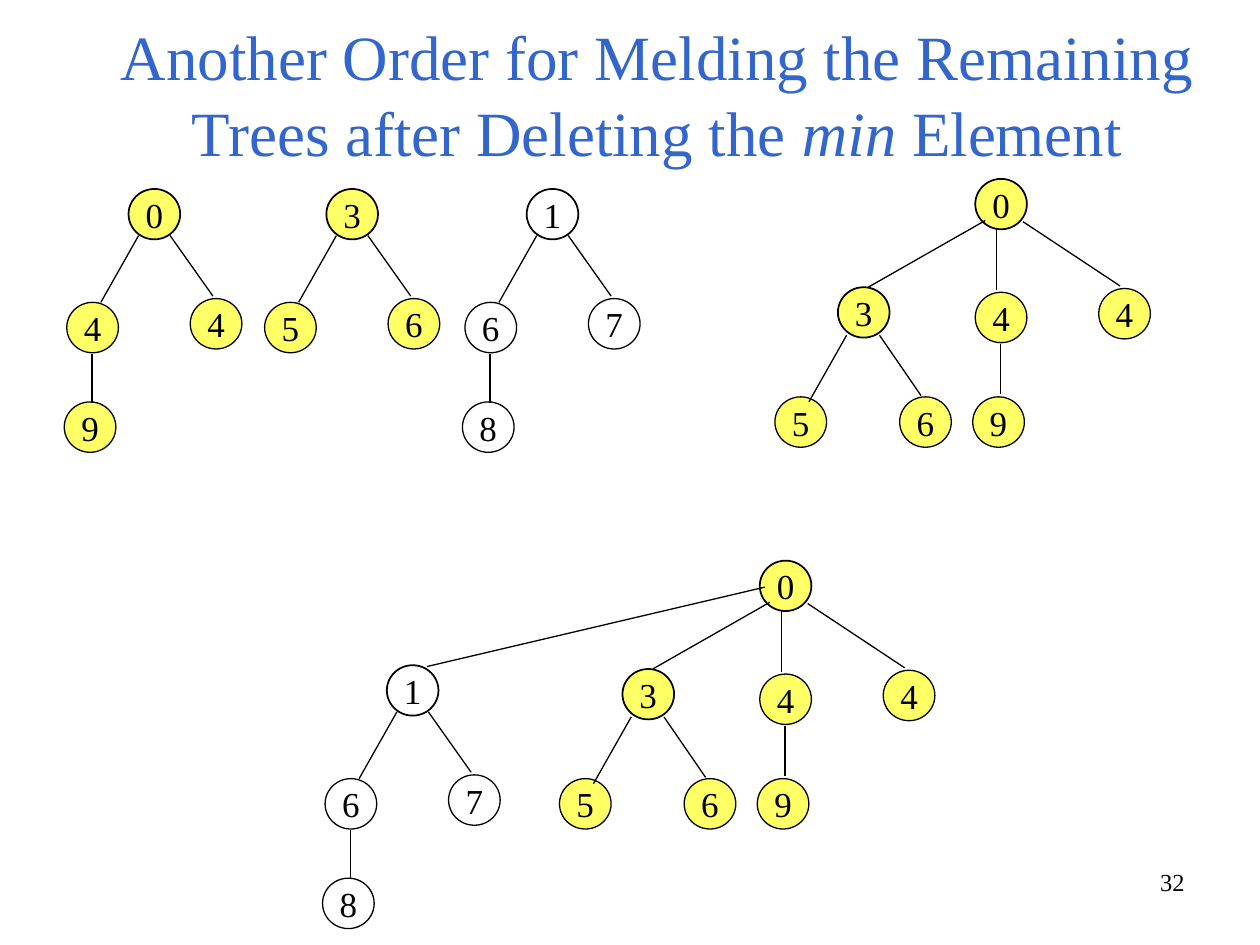
from dataclasses import dataclass

from lxml.etree import SubElement
from pptx import Presentation
from pptx.dml.color import RGBColor
from pptx.enum.shapes import MSO_CONNECTOR, MSO_SHAPE
from pptx.enum.text import MSO_ANCHOR, PP_ALIGN
from pptx.oxml.ns import qn
from pptx.util import Emu, Inches, Pt

COLORS = {"title": "3366CC", "ink": "000000", "melded": "FFFF66", "waiting": "FFFFFF"}
FONT = "Times New Roman"
CELL = Inches(0.1)
NODE_WIDTH, NODE_HEIGHT = 4.1, 4


@dataclass(frozen=True)
class Node:
    column: float
    row: float
    is_root: bool = False


@dataclass(frozen=True)
class Edge:
    start_column: float
    start_row: float
    end_column: float
    end_row: float


@dataclass(frozen=True)
class Pattern:
    nodes: tuple[Node, ...]
    edges: tuple[Edge, ...]


@dataclass(frozen=True)
class Tree:
    pattern: Pattern
    labels: str
    column: float
    row: float
    fill: str


FORK = Pattern(
    (Node(0, 0, True), Node(-4.9, 9), Node(4.9, 8.7)),
    (Edge(0.8, 3.7, -2.2, 9), Edge(3.3, 3.7, 6.7, 8.5)),
)
FORK_WITH_TAIL = Pattern(
    FORK.nodes + (Node(-5.1, 16.9),),
    FORK.edges + (Edge(-2.9, 13.1, -2.9, 17),),
)
MELDED = Pattern(
    (
        Node(-10.9, 8.6, True), Node(-15.9, 17.3), Node(-6, 17.3),
        Node(0, 0, True), Node(0, 9), Node(-0.2, 17.3), Node(9.8, 8.7),
    ),
    (
        Edge(-10.2, 12.4, -13.2, 17.7), Edge(-7.6, 12.4, -4.3, 17.2),
        Edge(2, 13.1, 2, 17.1), Edge(0.8, 3.3, -8.5, 8.6),
        Edge(3.8, 3.4, 11.5, 8.5), Edge(1.7, 3.9, 1.7, 8.8),
    ),
)
TREES = (
    Tree(FORK_WITH_TAIL, "0449", 10.2, 15, "melded"),
    Tree(FORK, "356", 25.9, 15, "melded"),
    Tree(FORK_WITH_TAIL, "1678", 41.8, 15, "waiting"),
    Tree(MELDED, "3560494", 77.4, 14.2, "melded"),
    Tree(FORK_WITH_TAIL, "1678", 30.7, 52.8, "waiting"),
    Tree(MELDED, "3560494", 60.3, 44.5, "melded"),
)
FINAL_MELD = Edge(33.9, 52.9, 60.7, 46.6)


def grid(cells: float) -> Emu:
    return Emu(round(cells * CELL))


def color(name: str) -> RGBColor:
    return RGBColor.from_string(COLORS[name])


def format_runs(paragraph, size: float, color_name: str, alignment) -> None:
    paragraph.alignment = alignment
    for run in paragraph.runs:
        run.font.name = FONT
        run.font.size = Pt(size)
        run.font.color.rgb = color(color_name)


def add_text_box(slide, column: float, row: float, width: float, height: float):
    shape = slide.shapes.add_textbox(grid(column), grid(row), grid(width), grid(height))
    shape.text_frame.word_wrap = True
    return shape.text_frame


def add_title(slide) -> None:
    text_frame = add_text_box(slide, 4.3, 3.5, 95.7, 10.4)
    text_frame.vertical_anchor = MSO_ANCHOR.BOTTOM
    paragraph = text_frame.paragraphs[0]
    for text, italic in (
        ("Another Order for Melding the Remaining Trees after Deleting the ", False),
        ("min", True),
        (" Element", False),
    ):
        run = paragraph.add_run()
        run.text = text
        run.font.italic = italic
    format_runs(paragraph, 36, "title", PP_ALIGN.CENTER)


def add_slide_number(slide) -> None:
    text_frame = add_text_box(slide, 71.7, 68.3, 23.3, 5.2)
    text_frame.text = "32"
    format_runs(text_frame.paragraphs[0], 14, "ink", PP_ALIGN.RIGHT)


def add_node(slide, tree: Tree, node: Node, label: str) -> None:
    shape = slide.shapes.add_shape(
        MSO_SHAPE.OVAL, grid(tree.column + node.column), grid(tree.row + node.row),
        grid(NODE_WIDTH), grid(NODE_HEIGHT),
    )
    shape.shadow.inherit = False
    shape.fill.solid()
    shape.fill.fore_color.rgb = color(tree.fill)
    shape.line.color.rgb = color("ink")
    shape.line.width = Pt(1 if node.is_root else 0.75)
    text_frame = shape.text_frame
    text_frame.text = label
    text_frame.word_wrap = False
    text_frame.vertical_anchor = MSO_ANCHOR.MIDDLE
    format_runs(text_frame.paragraphs[0], 20, "ink", PP_ALIGN.CENTER)


def add_edge(slide, edge: Edge, column: float = 0, row: float = 0) -> None:
    connector = slide.shapes.add_connector(
        MSO_CONNECTOR.STRAIGHT,
        grid(column + edge.start_column), grid(row + edge.start_row),
        grid(column + edge.end_column), grid(row + edge.end_row),
    )
    connector.line.color.rgb = color("ink")
    connector.line.width = Pt(0.75)
    SubElement(connector._element.spPr, qn("a:effectLst"))


def add_tree(slide, tree: Tree) -> None:
    for node, label in zip(tree.pattern.nodes, tree.labels):
        add_node(slide, tree, node, label)
    for edge in tree.pattern.edges:
        add_edge(slide, edge, tree.column, tree.row)


def main() -> None:
    presentation = Presentation()
    presentation.slide_width = grid(100)
    presentation.slide_height = grid(75)
    slide = presentation.slides.add_slide(presentation.slide_layouts[6])
    add_slide_number(slide)
    add_title(slide)
    for tree in TREES:
        add_tree(slide, tree)
    add_edge(slide, FINAL_MELD)
    presentation.save("out.pptx")


if __name__ == "__main__":
    main()
